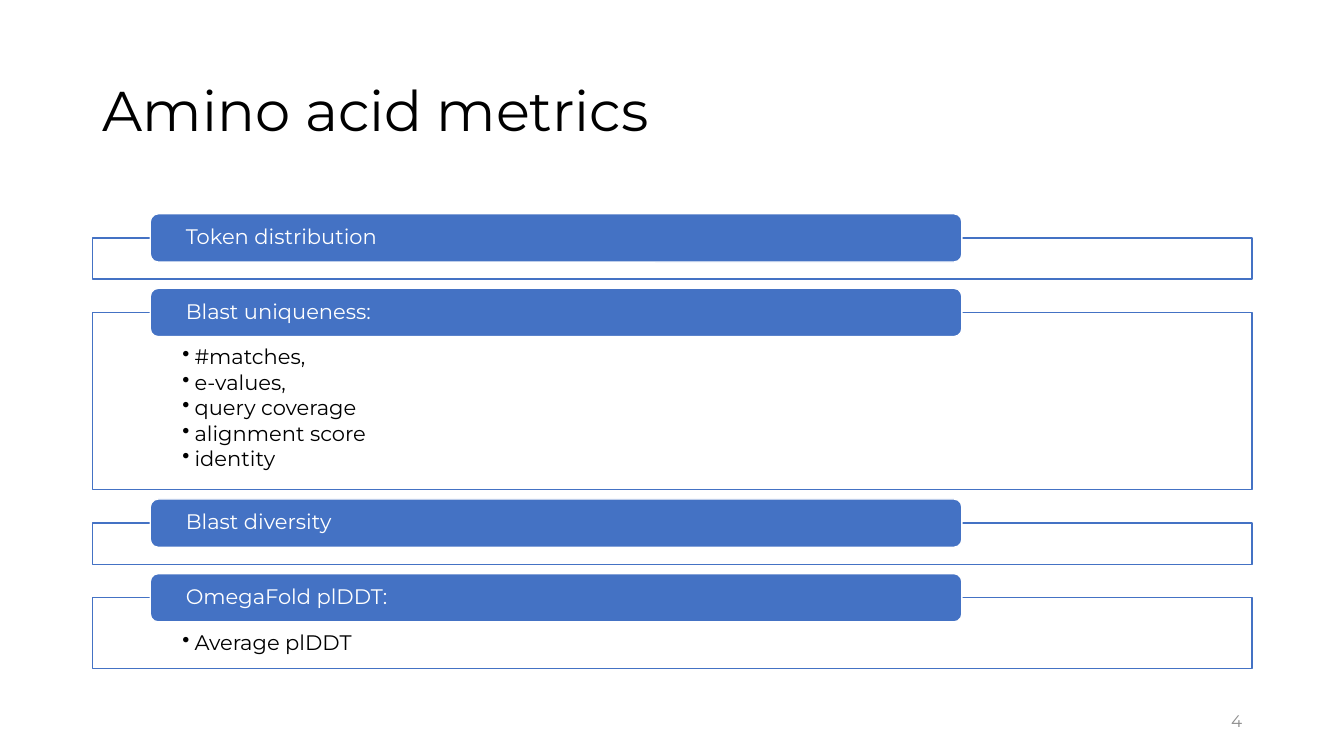
from lxml.etree import SubElement
from pptx import Presentation
from pptx.dml.color import RGBColor
from pptx.enum.shapes import MSO_SHAPE as Shape
from pptx.enum.text import MSO_ANCHOR as Anchor, MSO_AUTO_SIZE as AutoSize, PP_ALIGN as Align
from pptx.oxml.ns import qn
from pptx.util import Inches, Pt

COLORS = {"blue": "4472C4", "white": "FFFFFF", "black": "000000", "grey": "8C8C8C"}
FONT = "Montserrat"
LEFT, WIDTH = 0.92, 11.5
HEADER_HEIGHT = 0.48
SECTION_GAP = 0.09
# heading, height of its frame, bullet points
SECTIONS = [
    ("Token distribution", 0.41, []),
    ("Blast uniqueness:", 1.76,
     ["#matches,", "e-values,", "query coverage", "alignment score", "identity"]),
    ("Blast diversity", 0.41, []),
    ("OmegaFold plDDT:", 0.7, ["Average plDDT"]),
]


def color(name):
    return RGBColor.from_string(COLORS[name])


def write(paragraph, text, size, color_name, align=Align.LEFT, spacing=0.9):
    paragraph.alignment = align
    paragraph.line_spacing = spacing
    run = paragraph.add_run()
    run.text = text
    run.font.name = FONT
    run.font.size = Pt(size)
    run.font.color.rgb = color(color_name)


def set_frame(shape, anchor, left=0.1, top=0.05, right=0.1, bottom=0.05):
    """Set wrapping, anchor and insets, and return the text frame."""
    frame = shape.text_frame
    frame.word_wrap = True
    frame.auto_size = AutoSize.NONE
    frame.vertical_anchor = anchor
    frame.margin_left, frame.margin_right = Inches(left), Inches(right)
    frame.margin_top, frame.margin_bottom = Inches(top), Inches(bottom)
    return frame


def add_box(shapes, preset, left, top, width, height, fill, line):
    box = shapes.add_shape(preset, Inches(left), Inches(top), Inches(width), Inches(height))
    box.shadow.inherit = False
    box.fill.solid()
    box.fill.fore_color.rgb = color(fill)
    box.line.color.rgb = color(line)
    box.line.width = Pt(1)
    return box


def add_bullet(paragraph, text):
    write(paragraph, text, 15, "black")
    paragraph.level = 1
    paragraph.space_after = Pt(2)
    properties = paragraph._p.get_or_add_pPr()
    properties.set("marL", str(Inches(0.12)))
    properties.set("indent", str(Inches(-0.12)))
    SubElement(properties, qn("a:buChar"), char="•")


def add_section(shapes, left, top, width, heading, frame_height, points):
    """Draw a frame with its heading bar on the top edge, and return the bottom."""
    frame_top = top + HEADER_HEIGHT / 2
    outline = add_box(shapes, Shape.RECTANGLE, left, frame_top, width, frame_height,
                      "white", "blue")
    fill_color = outline._element.spPr.find(qn("a:solidFill"))[0]
    SubElement(fill_color, qn("a:alpha"), val="90000")
    if points:
        body = set_frame(outline, Anchor.TOP, 0.89, 0.34, 0.89, 0.12)
        for i, point in enumerate(points):
            add_bullet(body.add_paragraph() if i else body.paragraphs[0], point)

    header = add_box(shapes, Shape.ROUNDED_RECTANGLE, left + 0.57, top, width * 0.7,
                     HEADER_HEIGHT, "blue", "white")
    label = set_frame(header, Anchor.MIDDLE, 0.33, 0, 0.33, 0)
    write(label.paragraphs[0], heading, 15, "white")
    return frame_top + frame_height


def add_sections(slide, left, top, width):
    shapes = slide.shapes.add_group_shape().shapes
    for heading, frame_height, points in SECTIONS:
        bottom = add_section(shapes, left, top, width, heading, frame_height, points)
        top = bottom + SECTION_GAP


def set_title(slide, left, top, width, height):
    title = slide.shapes.title
    title.left, title.top = Inches(left), Inches(top)
    title.width, title.height = Inches(width), Inches(height)
    frame = set_frame(title, Anchor.MIDDLE)
    write(frame.paragraphs[0], "Amino acid metrics", 40, "black")


def add_page_number(slide, left, top, width, height):
    number = slide.shapes.add_textbox(Inches(left), Inches(top), Inches(width), Inches(height))
    frame = set_frame(number, Anchor.MIDDLE)
    write(frame.paragraphs[0], "4", 12, "grey", Align.RIGHT, 1.0)


def main():
    deck = Presentation()
    deck.slide_width, deck.slide_height = Inches(13.33), Inches(7.5)
    slide = deck.slides.add_slide(deck.slide_layouts[5])
    set_title(slide, LEFT, 0.4, WIDTH, 1.45)
    add_sections(slide, LEFT, 2.12, WIDTH)
    add_page_number(slide, 9.42, 6.95, 3, 0.4)
    deck.save("out.pptx")


if __name__ == "__main__":
    main()
